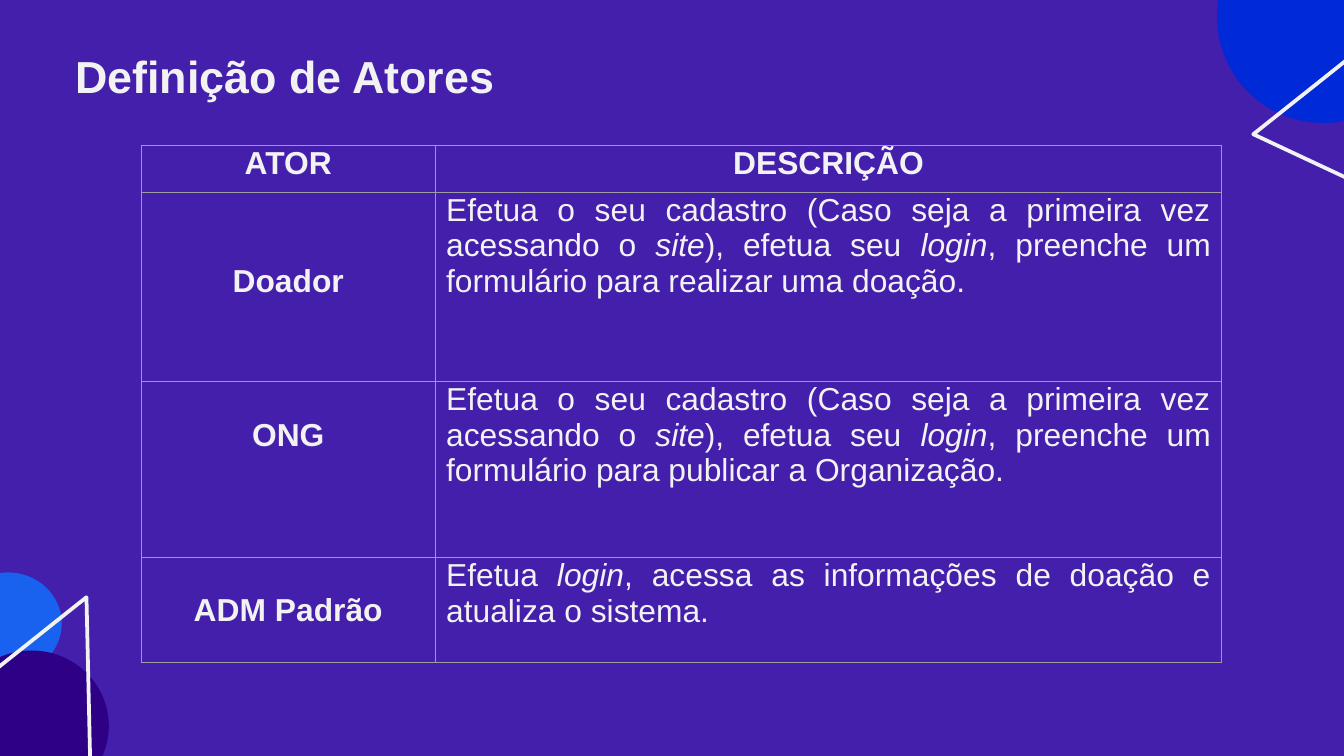
"""Build the "Definição de Atores" slide with its table of actors."""
from pptx import Presentation
from pptx.dml.color import RGBColor
from pptx.enum.shapes import MSO_SHAPE
from pptx.enum.text import MSO_ANCHOR, PP_ALIGN
from pptx.oxml import parse_xml
from pptx.util import Inches, Pt

OVAL = MSO_SHAPE.OVAL
HALF_ROUND = MSO_SHAPE.ROUND_2_SAME_RECTANGLE
TRIANGLE = MSO_SHAPE.ISOSCELES_TRIANGLE
MIDDLE, TOP = MSO_ANCHOR.MIDDLE, MSO_ANCHOR.TOP
LEFT, CENTER, JUSTIFY = PP_ALIGN.LEFT, PP_ALIGN.CENTER, PP_ALIGN.JUSTIFY

PURPLE = RGBColor(0x43, 0x1F, 0xAB)
DARK_PURPLE = RGBColor(0x2D, 0x00, 0x86)
LIGHT_BLUE = RGBColor(0x19, 0x62, 0xEF)
BLUE = RGBColor(0x00, 0x29, 0xD8)
OFF_WHITE = RGBColor(0xF2, 0xF2, 0xF2)
GRAY = RGBColor(0x9E, 0x9E, 0x9E)
DRAWING_NS = "http://schemas.openxmlformats.org/drawingml/2006/main"


def style_font(font, size, bold):
    font.name = "Arial"
    font.size = Pt(size)
    font.bold = bold
    font.color.rgb = OFF_WHITE


def add_borders(cell):
    properties = cell._tc.get_or_add_tcPr()
    for index, side in enumerate("LRTB"):
        properties.insert(index, parse_xml(
            f'<a:ln{side} xmlns:a="{DRAWING_NS}" w="{Pt(0.75)}">'
            f'<a:solidFill><a:srgbClr val="{GRAY}"/></a:solidFill></a:ln{side}>'))


prs = Presentation()
prs.slide_width = Inches(10)
prs.slide_height = prs.slide_width * 9 // 16
slide = prs.slides.add_slide(prs.slide_layouts[5])
slide.background.fill.solid()
slide.background.fill.fore_color.rgb = PURPLE

decorations = [
    (OVAL, -0.34, 4.26, 0.8, 0.76, 0, LIGHT_BLUE),
    (HALF_ROUND, 9.92, -1.88, 1.58, 3.41, 250.9, BLUE),
    (OVAL, -0.34, 4.84, 1.15, 1.12, 0, DARK_PURPLE),
    (TRIANGLE, 9.55, -0.01, 1.35, 1.36, 25.1, None),
    (TRIANGLE, -0.32, 4.38, 1.35, 1.36, 25.1, None),
]
for kind, left, top, width, height, rotation, color in decorations:
    decoration = slide.shapes.add_shape(
        kind, Inches(left), Inches(top), Inches(width), Inches(height))
    decoration.shadow.inherit = False
    decoration.rotation = rotation
    if kind == HALF_ROUND:
        decoration.adjustments[0] = 0.5
    if color is None:
        decoration.fill.background()
        decoration.line.color.rgb = OFF_WHITE
        decoration.line.width = Pt(2)
    else:
        decoration.fill.solid()
        decoration.fill.fore_color.rgb = color
        decoration.line.fill.background()

title = slide.shapes.title
title.left, title.top = Inches(0.46), Inches(0.26)
title.width, title.height = Inches(3.74), Inches(0.6)
title.text_frame.text = "Definição de Atores"
title.text_frame.vertical_anchor = MIDDLE
title.text_frame.margin_left = title.text_frame.margin_right = Inches(0.1)
title_line = title.text_frame.paragraphs[0]
title_line.alignment = LEFT
style_font(title_line.font, 24, True)

sign_up = ("Efetua o seu cadastro (Caso seja a primeira vez acessando o *site*), "
           "efetua seu *login*, preenche um formulário para ")
actors = [
    ("ATOR", "DESCRIÇÃO", 0.35, 0, TOP),
    ("Doador", sign_up + "realizar uma doação.", 1.41, 0.53, TOP),
    ("ONG", sign_up + "publicar a Organização.", 1.31, 0.27, TOP),
    ("ADM Padrão", "Efetua *login*, acessa as informações de doação e atualiza o sistema.",
     0.78, 0, MIDDLE),
]
table = slide.shapes.add_table(
    len(actors), 2, Inches(1.05), Inches(1.08), Inches(8.04), Inches(3.85)).table
table.first_row = table.horz_banding = False
table.columns[0].width, table.columns[1].width = Inches(2.19), Inches(5.85)

for row, (actor, description, height, name_offset, name_anchor) in enumerate(actors):
    table.rows[row].height = Inches(height)
    for column, text in enumerate((actor, description)):
        is_name = column == 0
        is_heading = is_name or row == 0
        cell = table.cell(row, column)
        cell.fill.background()
        add_borders(cell)
        cell.margin_left = cell.margin_right = Inches(0.08)
        cell.margin_top = Inches(name_offset if is_name else 0)
        cell.margin_bottom = 0
        cell.vertical_anchor = name_anchor if is_name else TOP
        paragraph = cell.text_frame.paragraphs[0]
        paragraph.alignment = CENTER if is_heading else JUSTIFY
        style_font(paragraph.font, 17, is_heading)
        for part, words in enumerate(text.split("*")):
            run = paragraph.add_run()
            run.text = words
            if part % 2:
                run.font.italic = True

prs.save("out.pptx")
